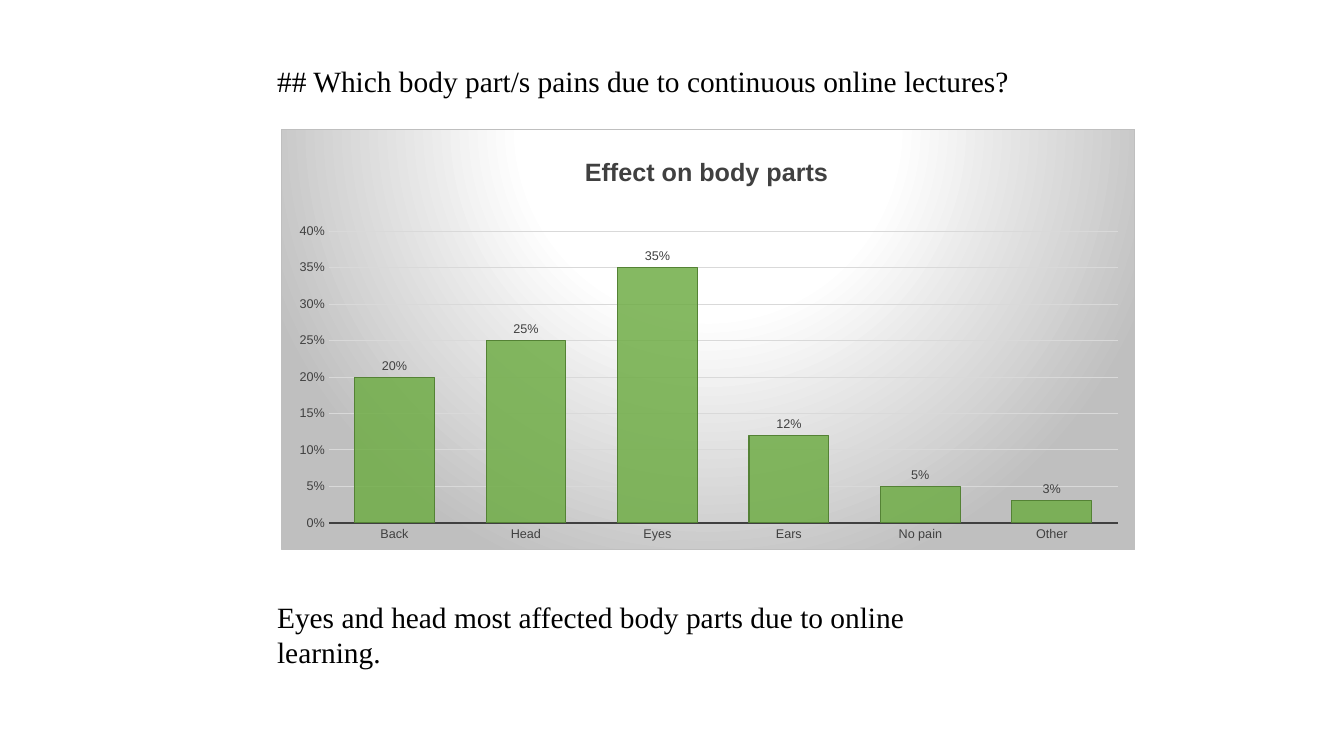
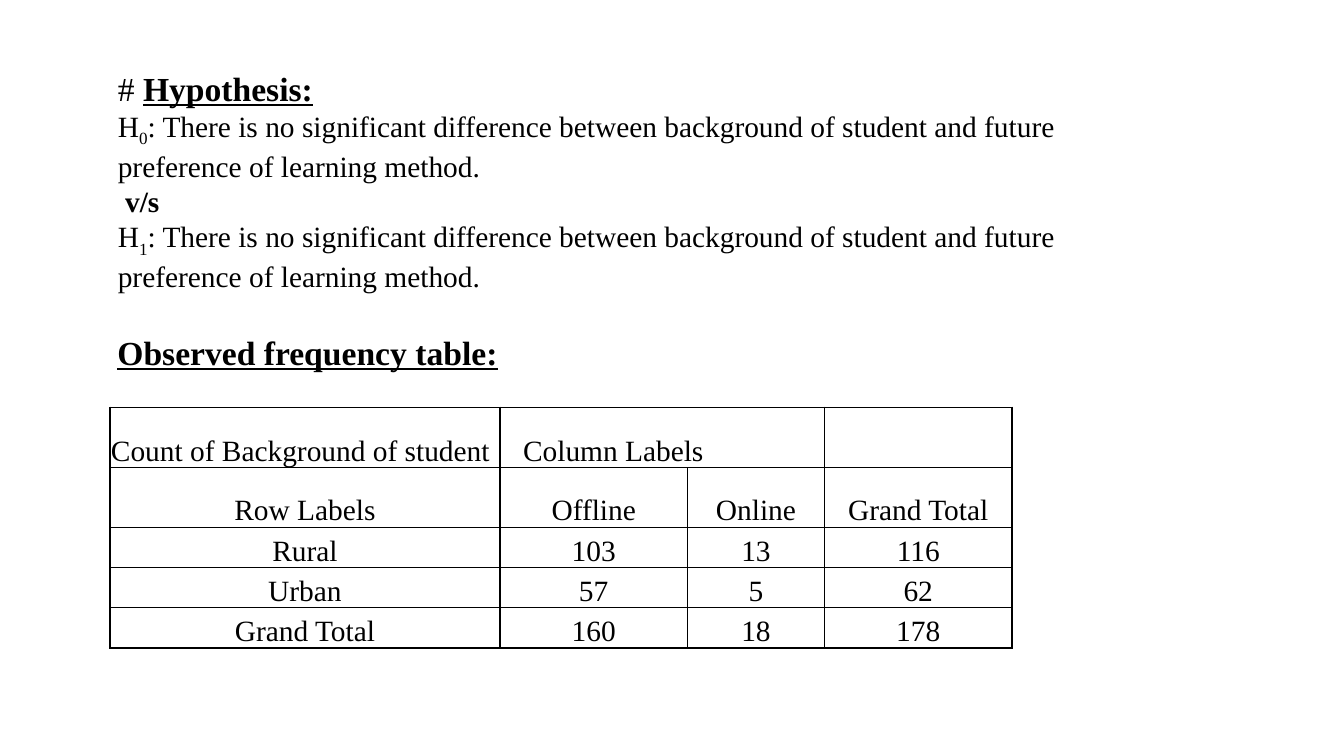
from lxml import etree
from pptx import Presentation
from pptx import util as u
from pptx.chart import data as chart_data
from pptx.dml import color
from pptx.enum import chart as chart_enum, text
from pptx.oxml import ns, parse_xml

COLORS = {
    "ink": "000000", "label": "404040", "grid": "D9D9D9", "frame": "BFBFBF",
    "bar": "70AD47", "bar_line": "548235", "light": "FFFFFF",
}
BODY_FONT, CHART_FONT = "Times New Roman", "Arial"
BODY, HEADING = 21, 24
STRONG = {"bold": True, "underline": True}
NAMESPACES = " ".join(f'xmlns:{prefix}="{ns.nsuri(prefix)}"' for prefix in ("a", "c"))


def rgb(name):
    return color.RGBColor.from_string(COLORS[name])


def style_font(font, size, ink="ink", name=BODY_FONT, **flags):
    font.name, font.size = name, u.Pt(size)
    font.color.rgb = rgb(ink)
    for flag, value in flags.items():
        setattr(font, flag, value)


def style_line(line, ink, width):
    line.color.rgb = rgb(ink)
    line.width = u.Pt(width)


def set_layout(parent, index, **shares):
    """Place a chart part by shares of the chart's size."""
    for layout in parent.findall(ns.qn("c:layout")):
        parent.remove(layout)
    modes = '<c:xMode val="edge"/><c:yMode val="edge"/>'
    values = "".join(f'<c:{key} val="{share}"/>' for key, share in shares.items())
    target = '<c:layoutTarget val="inner"/>' if "w" in shares else ""
    parent.insert(index, parse_xml(
        f"<c:layout {NAMESPACES}><c:manualLayout>{target}{modes}{values}"
        "</c:manualLayout></c:layout>"))


class Deck:
    """Places elements on the current slide; lengths are percent of its size."""

    def __init__(self):
        self.presentation = Presentation()
        self.presentation.slide_width = u.Inches(13.33)
        self.presentation.slide_height = u.Inches(7.5)
        self.slide = None

    def across(self, percent):
        return round(self.presentation.slide_width * percent / 100)

    def down(self, percent):
        return round(self.presentation.slide_height * percent / 100)

    def box(self, left, top, width, height):
        return self.across(left), self.down(top), self.across(width), self.down(height)

    def add_slide(self):
        self.slide = self.presentation.slides.add_slide(self.presentation.slide_layouts[6])

    def add_text(self, at, *paragraphs, tab=None):
        """Each paragraph is its size and then its runs: a text or (text, font flags)."""
        frame = self.slide.shapes.add_textbox(*self.box(*at)).text_frame
        frame.word_wrap = True
        for index, (size, *runs) in enumerate(paragraphs):
            paragraph = frame.add_paragraph() if index else frame.paragraphs[0]
            style_font(paragraph.font, size)
            if tab:
                properties = paragraph._p.get_or_add_pPr()
                properties.insert(0, parse_xml(
                    f'<a:tabLst {NAMESPACES}><a:tab pos="{self.across(tab)}" algn="l"/></a:tabLst>'))
            for content in runs:
                words, flags = (content, {}) if isinstance(content, str) else content
                run = paragraph.add_run()
                run.text = words
                for flag, value in flags.items():
                    if flag == "baseline":
                        run._r.get_or_add_rPr().set(flag, str(value))
                    else:
                        setattr(run.font, flag, value)

    def add_column_chart(self, at, title, values):
        data = chart_data.CategoryChartData(number_format="0%")
        data.categories = list(values)
        data.add_series("Series 1", list(values.values()))
        chart = self.slide.shapes.add_chart(
            chart_enum.XL_CHART_TYPE.COLUMN_CLUSTERED, *self.box(*at), data).chart
        chart.has_legend = False
        style_font(chart.font, 10, name=CHART_FONT)
        self.style_chart_area(chart)

        chart.has_title = True
        chart.chart_title.text_frame.text = title
        style_font(chart.chart_title.text_frame.paragraphs[0].font, 18, "label",
                   CHART_FONT, bold=True)
        set_layout(chart.chart_title._element, 1, x=0.35, y=0.05)
        plot_area = chart._chartSpace.find(".//" + ns.qn("c:plotArea"))
        set_layout(plot_area, 0, x=0.055, y=0.242, w=0.925, h=0.694)

        for axis in (chart.category_axis, chart.value_axis):
            axis.major_tick_mark = axis.minor_tick_mark = chart_enum.XL_TICK_MARK.NONE
            style_font(axis.tick_labels.font, 9, "label", CHART_FONT)
        style_line(chart.category_axis.format.line, "label", 1.5)
        scale = chart.value_axis
        scale.minimum_scale, scale.maximum_scale, scale.major_unit = 0, 0.4, 0.05
        scale.format.line.fill.background()
        style_line(scale.major_gridlines.format.line, "grid", 0.75)
        scale.tick_labels.number_format = "0%"
        scale.tick_labels.number_format_is_linked = False

        plot = chart.plots[0]
        plot.gap_width, plot.vary_by_categories = 65, False
        series = plot.series[0]
        series.format.fill.solid()
        series.format.fill.fore_color.rgb = rgb("bar")
        fill_color = series._element.find(".//" + ns.qn("a:srgbClr"))
        etree.SubElement(fill_color, ns.qn("a:alpha"), val="85000")
        style_line(series.format.line, "bar_line", 0.75)
        labels = series.data_labels
        labels.show_value = True
        labels.position = chart_enum.XL_LABEL_POSITION.OUTSIDE_END
        labels.number_format, labels.number_format_is_linked = "0%", False
        style_font(labels.font, 9, "label", CHART_FONT)

    def style_chart_area(self, chart):
        """Give the chart a circular gradient and a thin frame."""
        stops = "".join(
            f'<a:gs pos="{position * 1000}"><a:srgbClr val="{COLORS[name]}"/></a:gs>'
            for position, name in ((0, "light"), (39, "light"), (100, "frame")))
        chart._chartSpace.find(ns.qn("c:chart")).addnext(parse_xml(
            f'<c:spPr {NAMESPACES}><a:gradFill><a:gsLst>{stops}</a:gsLst><a:path path="circle">'
            '<a:fillToRect l="50000" t="-80000" r="50000" b="180000"/></a:path></a:gradFill>'
            f'<a:ln w="{u.Pt(0.75)}"><a:solidFill><a:srgbClr val="{COLORS["frame"]}"/>'
            "</a:solidFill></a:ln></c:spPr>"))

    def add_table(self, left, top, widths, heights, rows):
        table = self.slide.shapes.add_table(
            len(rows), len(widths), *self.box(left, top, sum(widths), sum(heights))).table
        table.first_row = table.horz_banding = False
        for column, width in zip(table.columns, widths):
            column.width = self.across(width)
        for row, height in zip(table.rows, heights):
            row.height = self.down(height)
        for row_index, row in enumerate(rows):
            for column_index, words in enumerate(row):
                self.fill_cell(table.cell(row_index, column_index), words, row_index > 0)
        return table

    def fill_cell(self, cell, words, centred):
        cell.text = words
        cell.vertical_anchor = text.MSO_ANCHOR.BOTTOM
        cell.margin_left = cell.margin_right = cell.margin_top = u.Inches(0.01)
        cell.margin_bottom = 0
        paragraph = cell.text_frame.paragraphs[0]
        style_font(paragraph.font, BODY)
        if centred:
            paragraph.alignment = text.PP_ALIGN.CENTER
        cell.fill.background()
        properties = cell._tc.get_or_add_tcPr()
        for index, side in enumerate("LRTB"):
            properties.insert(index, parse_xml(
                f'<a:ln{side} {NAMESPACES} w="{u.Pt(1)}"><a:solidFill>'
                f'<a:srgbClr val="{COLORS["ink"]}"/></a:solidFill></a:ln{side}>'))


def add_body_parts_slide(deck):
    deck.add_slide()
    deck.add_text((19.88, 7.73, 76.12, 6.67),
                  (BODY, "## Which body part/s pains due to continuous online lectures?"))
    deck.add_column_chart(
        (20.93, 17.07, 63.53, 55.73), "Effect on body parts",
        {"Back": 0.2, "Head": 0.25, "Eyes": 0.35, "Ears": 0.12, "No pain": 0.05, "Other": 0.03})
    deck.add_text((19.88, 78.53, 56.1, 10.8),
                  (BODY, "Eyes and head most affected body parts due to online learning."))


def add_hypothesis_slide(deck):
    deck.add_slide()
    claim = (": There is no significant difference between background of student "
             "and future preference of learning method.")
    null, alternative = (
        (BODY, "H", (number, {"baseline": -25000}), claim) for number in "01")
    deck.add_text((8.03, 8.27, 75.45, 35.07),
                  (HEADING, "# ", ("Hypothesis:", STRONG)),
                  null, (BODY, " ", ("v/s", {"bold": True})), alternative)
    deck.add_text((6.75, 43.2, 59.1, 6.67),
                  (HEADING, ("\tObserved frequency table:", STRONG)), tab=1.25)
    table = deck.add_table(
        8.18, 53.87, (29.02, 13.95, 10.2, 13.95), (8, 7.87, 5.33, 5.33, 5.33),
        (("Count of Background of student", "Column Labels", "", ""),
         ("Row Labels", "Offline", "Online", "Grand Total"),
         ("Rural", "103", "13", "116"),
         ("Urban", "57", "5", "62"),
         ("Grand Total", "160", "18", "178")))
    column_heading = table.cell(0, 1)
    column_heading.merge(table.cell(0, 2))
    column_heading.margin_left = u.Inches(0.23)


def main():
    deck = Deck()
    add_body_parts_slide(deck)
    add_hypothesis_slide(deck)
    deck.presentation.save("out.pptx")


if __name__ == "__main__":
    main()
